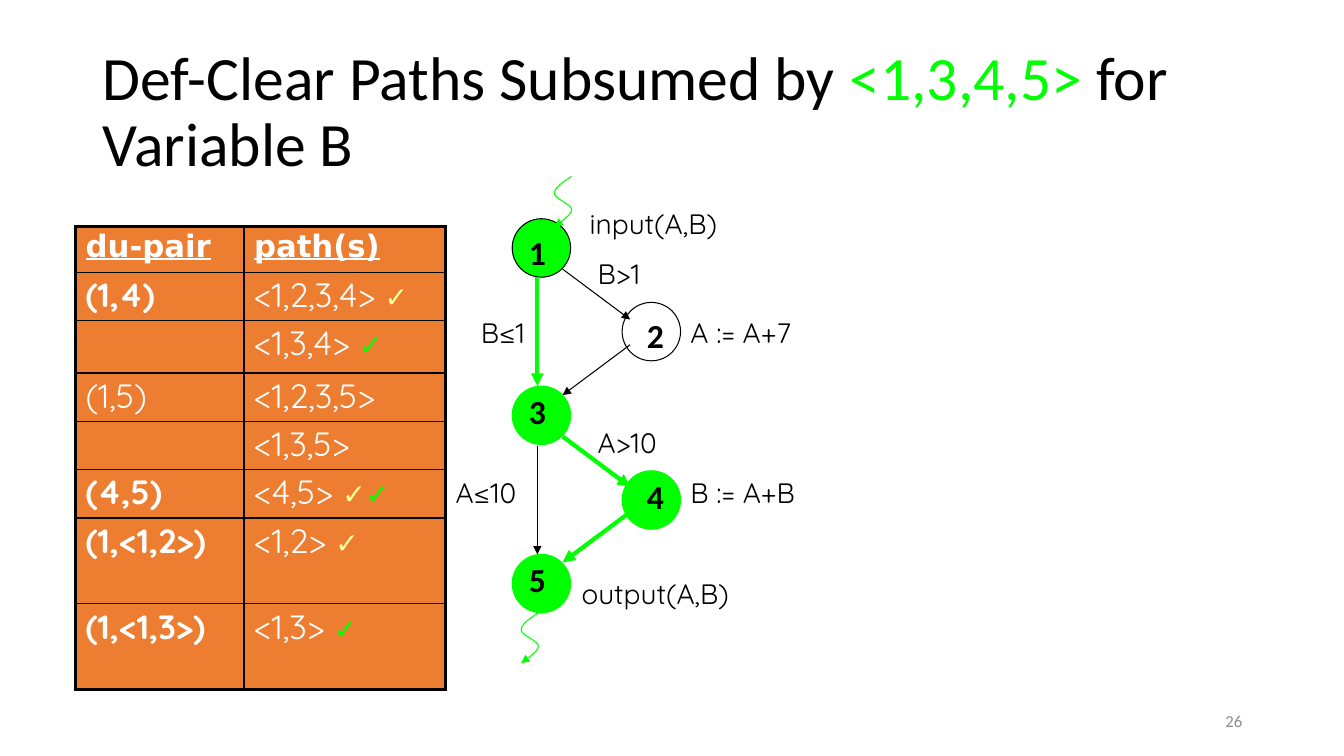
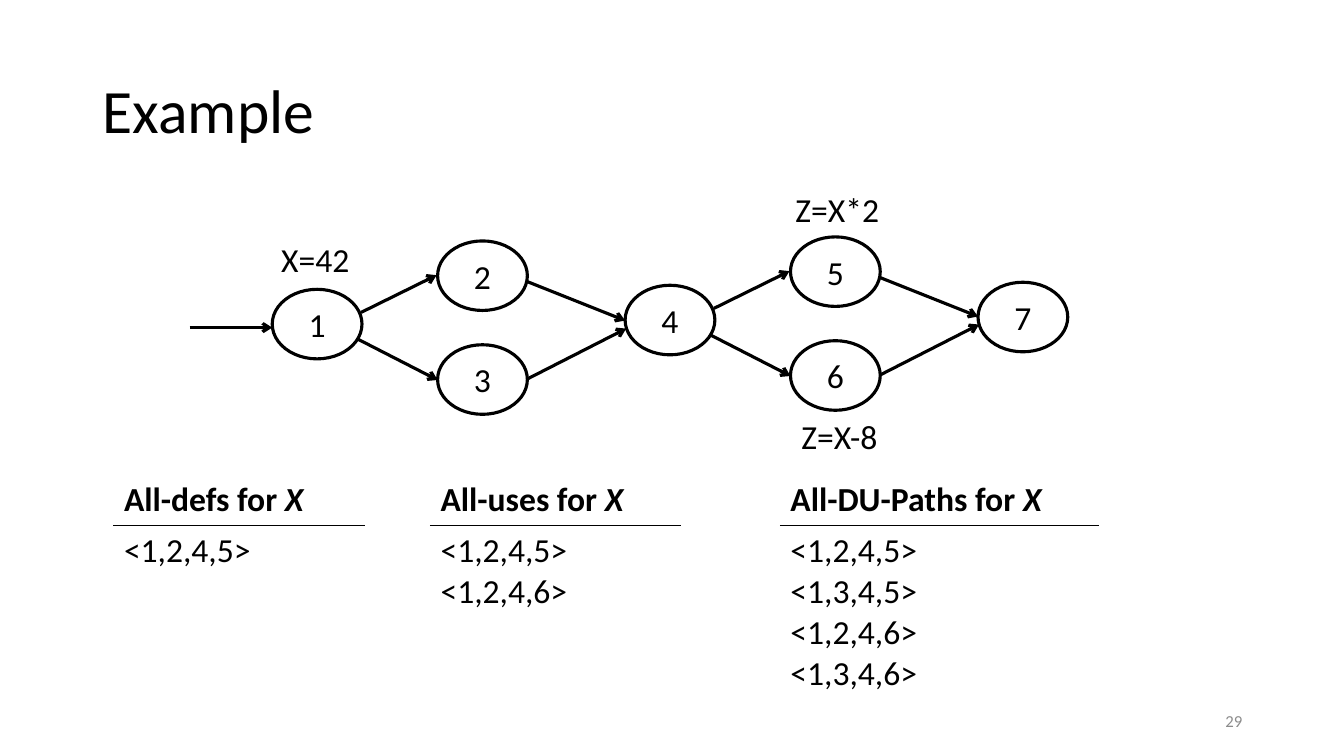
from lxml import etree
from pptx import Presentation
from pptx.dml.color import RGBColor
from pptx.enum.shapes import MSO_CONNECTOR, MSO_SHAPE
from pptx.enum.text import MSO_ANCHOR, PP_ALIGN
from pptx.oxml.ns import qn
from pptx.util import Inches, Pt

STRAIGHT, OVAL = MSO_CONNECTOR.STRAIGHT, MSO_SHAPE.OVAL
TOP, MIDDLE = MSO_ANCHOR.TOP, MSO_ANCHOR.MIDDLE
LEFT, CENTER, RIGHT = PP_ALIGN.LEFT, PP_ALIGN.CENTER, PP_ALIGN.RIGHT

COLORS = {
    "black": "000000",
    "white": "FFFFFF",
    "grey": "8C8C8C",
    "green": "00FF00",
    "yellow": "FFFF99",
    "orange": "ED7D31",
}
BODY, CODE, HEADER = "Calibri", "Quicksand", "DejaVu Sans"


def rgb(name):
    return RGBColor.from_string(COLORS[name])


# Text: a paragraph is a string or a list of (text, overrides) runs
def write(tf, *paras, anchor=TOP, align=LEFT, spacing=None, **fmt):
    tf.word_wrap = True
    tf.vertical_anchor = anchor
    for i, para in enumerate(paras):
        p = tf.add_paragraph() if i else tf.paragraphs[0]
        p.alignment = align
        if spacing:
            p.line_spacing = spacing
        for text, extra in [(para, {})] if isinstance(para, str) else para:
            style = {"size": 24, "font": BODY, "color": "black", **fmt, **extra}
            r = p.add_run()
            r.text = text
            r.font.size = Pt(style["size"])
            r.font.name = style["font"]
            r.font.color.rgb = rgb(style["color"])
            r.font.bold = style.get("bold", False)
            r.font.italic = style.get("italic", False)
            r.font.underline = style.get("underline", False)


def add_text(s, x, y, w, h, *paras, **fmt):
    sp = s.shapes.add_textbox(Inches(x), Inches(y), Inches(w), Inches(h))
    write(sp.text_frame, *paras, **fmt)


# Slide with its title and number
def add_slide(prs, title, number):
    s = prs.slides.add_slide(prs.slide_layouts[6])
    add_text(s, 0.92, 0.4, 11.5, 1.45, title, size=44, anchor=MIDDLE, spacing=0.9)
    add_text(s, 9.42, 6.95, 3, 0.4, number, size=12, color="grey",
             anchor=MIDDLE, align=RIGHT)
    return s


# Graph parts
def add_node(s, x, y, w, h, fill="white", line="black", weight=0.75):
    sp = s.shapes.add_shape(OVAL, Inches(x), Inches(y), Inches(w), Inches(h))
    sp.shadow.inherit = False
    sp.fill.solid()
    sp.fill.fore_color.rgb = rgb(fill)
    sp.line.color.rgb = rgb(line)
    sp.line.width = Pt(weight)
    return sp


def style_arrow(sp, color, weight, head):
    sp.line.color.rgb = rgb(color)
    sp.line.width = Pt(weight)
    ln = sp.line._get_or_add_ln()
    etree.SubElement(ln, qn("a:tailEnd"), type=head)


def add_arrow(s, x1, y1, x2, y2, color="black", weight=0.75, head="triangle"):
    line = s.shapes.add_connector(STRAIGHT, Inches(x1), Inches(y1), Inches(x2), Inches(y2))
    style_arrow(line, color, weight, head)
    etree.SubElement(line._element.spPr, qn("a:effectLst"))


def add_squiggle(s, x, y):
    """Wavy arrow: three Bezier curves, each traced in short steps."""
    knots = [(0.17, 0), (0.08, 0.06), (0, 0.11), (0, 0.17), (0, 0.22), (0.17, 0.28),
             (0.17, 0.33), (0.17, 0.39), (0.03, 0.47), (0, 0.5)]
    steps = 10
    points = []
    for k in range(0, 9, 3):
        for t in (i / steps for i in range(1, steps + 1)):
            weights = ((1 - t) ** 3, 3 * t * (1 - t) ** 2, 3 * t * t * (1 - t), t ** 3)
            curve = list(zip(weights, knots[k:k + 4]))
            points.append((Inches(x + sum(w * px for w, (px, py) in curve)),
                           Inches(y + sum(w * py for w, (px, py) in curve))))
    fb = s.shapes.build_freeform(Inches(x + knots[0][0]), Inches(y))
    fb.add_line_segments(points, close=False)
    sp = fb.convert_to_shape()
    sp.shadow.inherit = False
    sp.fill.background()
    style_arrow(sp, "green", 0.75, "triangle")


# Tables
def style_cell(cell, fill, borders):
    """borders: (colour, points) for left, right, top and bottom."""
    tc_pr = cell._tc.get_or_add_tcPr()
    for side, (color, weight) in zip("LRTB", borders):
        ln = etree.SubElement(tc_pr, qn(f"a:ln{side}"), w=str(Pt(weight)))
        paint = etree.SubElement(ln, qn("a:solidFill"))
        etree.SubElement(paint, qn("a:srgbClr"), val=COLORS[color])
    cell.fill.solid()
    cell.fill.fore_color.rgb = rgb(fill)


def add_table(s, x, y, widths, heights):
    frame = s.shapes.add_table(len(heights), len(widths), Inches(x), Inches(y),
                               Inches(sum(widths)), Inches(sum(heights)))
    table = frame.table
    table.first_row = table.horz_banding = False
    for col, w in zip(table.columns, widths):
        col.width = Inches(w)
    for row, h in zip(table.rows, heights):
        row.height = Inches(h)
    return table


def add_pair_table(s):
    # du-pair, whether it is bold, path, colours of its check marks
    rows = [
        ("(1,4)", True, "<1,2,3,4>", ["yellow"]),
        ("", False, "<1,3,4>", ["green"]),
        ("(1,5)", False, "<1,2,3,5>", []),
        ("", False, "<1,3,5>", []),
        ("(4,5)", True, "<4,5>", ["yellow", "green"]),
        ("(1,<1,2>)", True, "<1,2>", ["yellow"]),
        ("(1,<1,3>)", True, "<1,3>", ["green"]),
    ]
    table = add_table(s, 0.75, 2.25, [1.67, 2],
                      [0.45, 0.48, 0.52, 0.48, 0.48, 0.48, 0.85, 0.85])
    last = len(rows)
    for r in range(last + 1):
        for c in range(2):
            outer = (c == 0, c == 1, r == 0, r == last)
            style_cell(table.cell(r, c), "orange",
                       [("black", 2.25 if edge else 1) for edge in outer])
    for c, text in enumerate(("du-pair", "path(s)")):
        write(table.cell(0, c).text_frame, text, size=22, font=HEADER, color="white",
              bold=True, underline=True, spacing=0.9)
    for r, (pair, bold, trail, marks) in enumerate(rows, 1):
        runs = [(trail + " " if marks else trail, {})]
        runs += [("✓", {"size": 20, "color": m, "bold": True}) for m in marks]
        for c, para in enumerate(([(pair, {"bold": bold})] if pair else [], runs)):
            write(table.cell(r, c).text_frame, para, font=CODE, color="white", spacing=0.9)


def add_path_table(s, x, width, heading, trails):
    table = add_table(s, x, 4.71, [width], [0.5, 0.1 + 0.4 * len(trails)])
    none, rule = ("white", 1), ("black", 1)
    head, body = table.cell(0, 0), table.cell(1, 0)
    style_cell(head, "white", [none, none, none, rule])
    style_cell(body, "white", [none, none, rule, none])
    write(head.text_frame, [(heading + " for ", {}), ("X", {"italic": True})], bold=True)
    write(body.text_frame, *trails)


# Slides
def add_subsumed_slide(prs):
    s = add_slide(prs, [("Def-Clear Paths Subsumed by ", {}),
                        ("<1,3,4,5>", {"color": "green"}),
                        (" for Variable B", {})], "26")
    add_pair_table(s)

    # Flow graph: node position, fill, outline, then the position of its number
    nodes = [
        (5.08, 2.17, "green", "black", 5.08, 2.25),
        (6.17, 3, "white", "black", 6.25, 3.08),
        (5.08, 3.83, "green", "green", 5.08, 3.83),
        (6.17, 4.67, "green", "green", 6.25, 4.67),
        (5.08, 5.5, "green", "green", 5.08, 5.5),
    ]
    for x, y, fill, line, _, _ in nodes:
        add_node(s, x, y, 0.58, 0.58, fill, line)
    plain = [(5.58, 2.67, 6.25, 3.17), (6.25, 3.42, 5.58, 3.92), (5.33, 4.42, 5.33, 5.5)]
    taken = [(5.33, 2.75, 5.33, 3.83), (5.58, 4.33, 6.25, 4.83), (6.25, 5.08, 5.58, 5.58)]
    for ends in plain:
        add_arrow(s, *ends)
    for ends in taken:
        add_arrow(s, *ends, color="green", weight=3)
    add_squiggle(s, 5.5, 1.75)
    add_squiggle(s, 5.17, 6.08)
    for number, (*_, x, y) in enumerate(nodes, 1):
        add_text(s, x, y, 0.5, 0.5, str(number), bold=True, align=CENTER)

    # Statements and branch conditions
    labels = [
        (5.75, 2, 1.92, "input(A,B)"),
        (6.75, 3.08, 1.92, "A := A+7"),
        (6.75, 4.67, 1.58, "B := A+B"),
        (5.83, 2.5, 0.92, "B>1"),
        (4.67, 3.08, 0.75, "B≤1"),
        (5.83, 4.17, 0.92, "A>10"),
        (4.42, 4.67, 0.92, "A≤10"),
        (5.67, 5.67, 1.92, "output(A,B)"),
    ]
    for x, y, w, text in labels:
        add_text(s, x, y, w, 0.43, text, size=20, font=CODE)


def add_example_slide(prs):
    s = add_slide(prs, "Example", "29")

    def state(x, y, number):
        sp = add_node(s, x, y, 0.89, 0.69, weight=2.25)
        write(sp.text_frame, str(number), anchor=MIDDLE, align=CENTER)

    def edge(*ends):
        add_arrow(s, *ends, weight=2.25, head="arrow")

    # Two equal diamonds, each a fork and a join, then the final node
    fork_join = [(0.88, 0.23, 1.63, -0.14), (0.84, 0.49, 1.64, 0.9),
                 (2.52, -0.08, 3.5, 0.31), (2.53, 0.89, 3.51, 0.39)]
    edge(1.88, 3.25, 2.7, 3.25)
    for x, y, first in ((2.7, 2.87, 1), (6.2, 2.83, 4)):
        for i, (dx, dy) in enumerate([(0, 0), (1.64, -0.48), (1.64, 0.55)]):
            state(x + dx, y + dy, first + i)
        for x1, y1, x2, y2 in fork_join:
            edge(x + x1, y + y1, x + x2, y + y2)
    state(9.7, 2.8, 7)

    for x, y, w, text in ((2.69, 2.32, 0.98, "X=42"), (7.79, 1.83, 1.19, "Z=X*2"),
                          (7.85, 4.08, 1.19, "Z=X-8")):
        add_text(s, x, y, w, 0.5, text)

    # Test paths for each criterion
    add_path_table(s, 1.13, 2.48, "All-defs", ["<1,2,4,5>"])
    add_path_table(s, 4.27, 2.48, "All-uses", ["<1,2,4,5>", "<1,2,4,6>"])
    add_path_table(s, 7.74, 3.15, "All-DU-Paths",
                   ["<1,2,4,5>", "<1,3,4,5>", "<1,2,4,6>", "<1,3,4,6>"])


def main():
    prs = Presentation()
    prs.slide_width, prs.slide_height = Inches(13.33), Inches(7.5)
    add_subsumed_slide(prs)
    add_example_slide(prs)
    prs.save("out.pptx")


if __name__ == "__main__":
    main()
